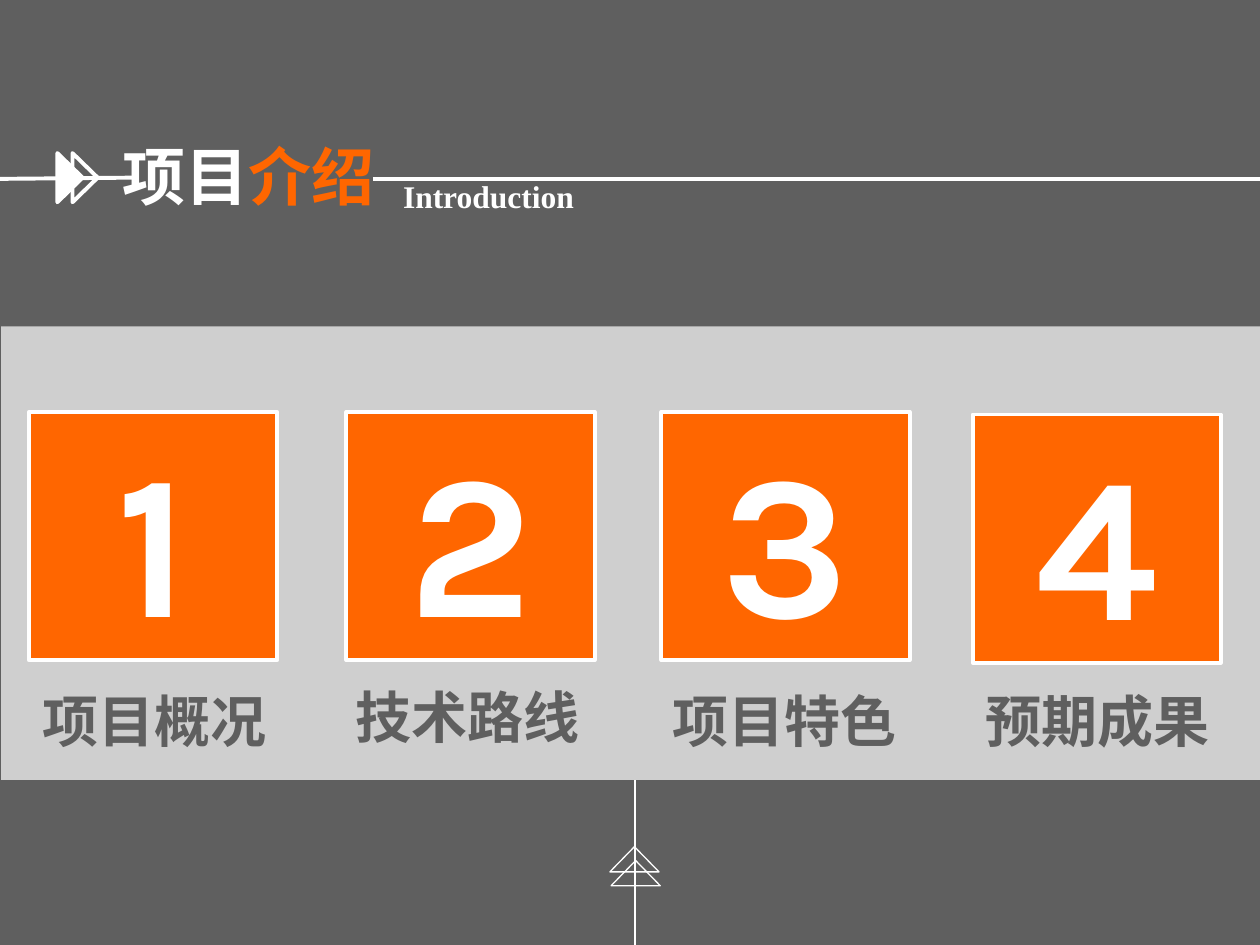
import pptx
import pptx.util
import pptx.dml.color
import pptx.enum.shapes
import pptx.enum.text
import pptx.oxml
from lxml import etree
from pptx.util import Inches

SHAPES = pptx.enum.shapes.MSO_SHAPE
ALIGN = pptx.enum.text.PP_ALIGN
ANCHOR = pptx.enum.text.MSO_ANCHOR
FIT = pptx.enum.text.MSO_AUTO_SIZE
DRAWING = "http://schemas.openxmlformats.org/drawingml/2006/main"


def color(value):
    return pptx.dml.color.RGBColor.from_string(value)


class Painter:
    white, gray, orange = "FFFFFF", "5F5F5F", "FF6600"

    def __init__(self, page):
        self.page = page

    def background(self):
        self.page.background.fill.solid()
        self.page.background.fill.fore_color.rgb = color(self.gray)

    def style(self, paragraph, size, fill, face="Arial"):
        font = paragraph.font
        font.size, font.bold, font.name = pptx.util.Pt(size), True, face
        font.color.rgb = color(fill)

    def title(self, left, top, width, height, parts):
        box = self.page.shapes.title
        box.left, box.top = Inches(left), Inches(top)
        box.width, box.height = Inches(width), Inches(height)
        frame = box.text_frame
        frame.auto_size = FIT.NONE
        frame.vertical_anchor = ANCHOR.TOP
        para = frame.paragraphs[0]
        para.alignment = ALIGN.LEFT
        self.style(para, 36, self.white)
        for words, fill in parts:
            span = para.add_run()
            span.text = words
            span.font.color.rgb = color(fill)

    def text(self, left, top, width, height, words, size, fill, face="Arial"):
        box = self.page.shapes.add_textbox(
            Inches(left), Inches(top), Inches(width), Inches(height))
        box.text_frame.word_wrap = True
        para = box.text_frame.paragraphs[0]
        para.text = words
        self.style(para, size, fill, face)

    def shape(self, kind, left, top, width, height, fill=None, line=None, turn=0):
        box = self.page.shapes.add_shape(
            kind, Inches(left), Inches(top), Inches(width), Inches(height))
        box.shadow.inherit = False
        box.rotation = turn
        if fill:
            box.fill.solid()
            box.fill.fore_color.rgb = color(fill)
        else:
            box.fill.background()
        if line:
            box.line.color.rgb = color(self.white)
            box.line.width = pptx.util.Pt(line)
        else:
            box.line.fill.background()
        return box

    def panel(self, left, top, width, height, opacity):
        box = self.shape(SHAPES.FLOWCHART_PROCESS, left, top, width, height, self.white)
        tint = box._element.spPr.find(f".//{{{DRAWING}}}srgbClr")
        etree.SubElement(tint, f"{{{DRAWING}}}alpha", val=str(opacity * 1000))

    def tile(self, left, top, side, number):
        box = self.shape(SHAPES.RECTANGLE, left, top, side, side, self.orange, 2.25)
        frame = box.text_frame
        frame.word_wrap = False
        frame.vertical_anchor = ANCHOR.MIDDLE
        para = frame.paragraphs[0]
        para.text = str(number)
        para.alignment = ALIGN.CENTER
        self.style(para, 117, self.white, "Karla")

    def line(self, start, end, weight):
        rule = self.page.shapes.add_connector(
            pptx.enum.shapes.MSO_CONNECTOR.STRAIGHT,
            *(Inches(value) for value in (*start, *end)))
        rule.line.color.rgb = color(self.white)
        rule.line.width = pptx.util.Pt(weight)
        etree.SubElement(rule._element.spPr, f"{{{DRAWING}}}effectLst")


def main():
    deck = pptx.Presentation()
    deck.slide_width, deck.slide_height = Inches(10), Inches(7.5)
    painter = Painter(deck.slides.add_slide(deck.slide_layouts[5]))
    painter.background()

    # Light band with the four numbered topics
    painter.panel(0.01, 2.59, 10, 3.6, 70)
    topics = [
        # tile left, tile top, label left, label top, label width, label
        (0.23, 3.27, 0.24, 5.4, 2.11, "项目概况"),
        (2.75, 3.27, 2.72, 5.37, 2.05, "技术路线"),
        (5.25, 3.27, 5.24, 5.4, 2.22, "项目特色"),
        (7.72, 3.29, 7.72, 5.4, 2.22, "预期成果"),
    ]
    for number, (left, top, label_left, label_top, width, label) in enumerate(topics, 1):
        painter.tile(left, top, 1.97, number)
        painter.text(label_left, label_top, width, 0.64, label, 32, painter.gray)

    # Upward arrow below the band
    painter.line((5.04, 7.52), (5.04, 6.19), 0.75)
    for left, top in ((4.84, 6.72), (4.85, 6.83)):
        painter.shape(SHAPES.ISOSCELES_TRIANGLE, left, top, 0.39, 0.2, line=0.75)

    # Heading with its rule and double arrow
    painter.title(0.87, 1.04, 4.6, 0.7,
                  [("项目", painter.white), ("介绍", painter.orange)])
    painter.line((-0.01, 1.42), (1.05, 1.41), 2.25)
    for left, fill in ((0.36, painter.white), (0.48, None)):
        painter.shape(SHAPES.ISOSCELES_TRIANGLE, left, 1.31, 0.39, 0.2, fill, 2.25, 90)
    painter.line((2.96, 1.42), (10.01, 1.42), 2.25)
    painter.text(3.1, 1.36, 2.65, 0.4, "Introduction", 18, painter.white,
                 "Times New Roman")

    deck.save("out.pptx")


if __name__ == "__main__":
    main()
